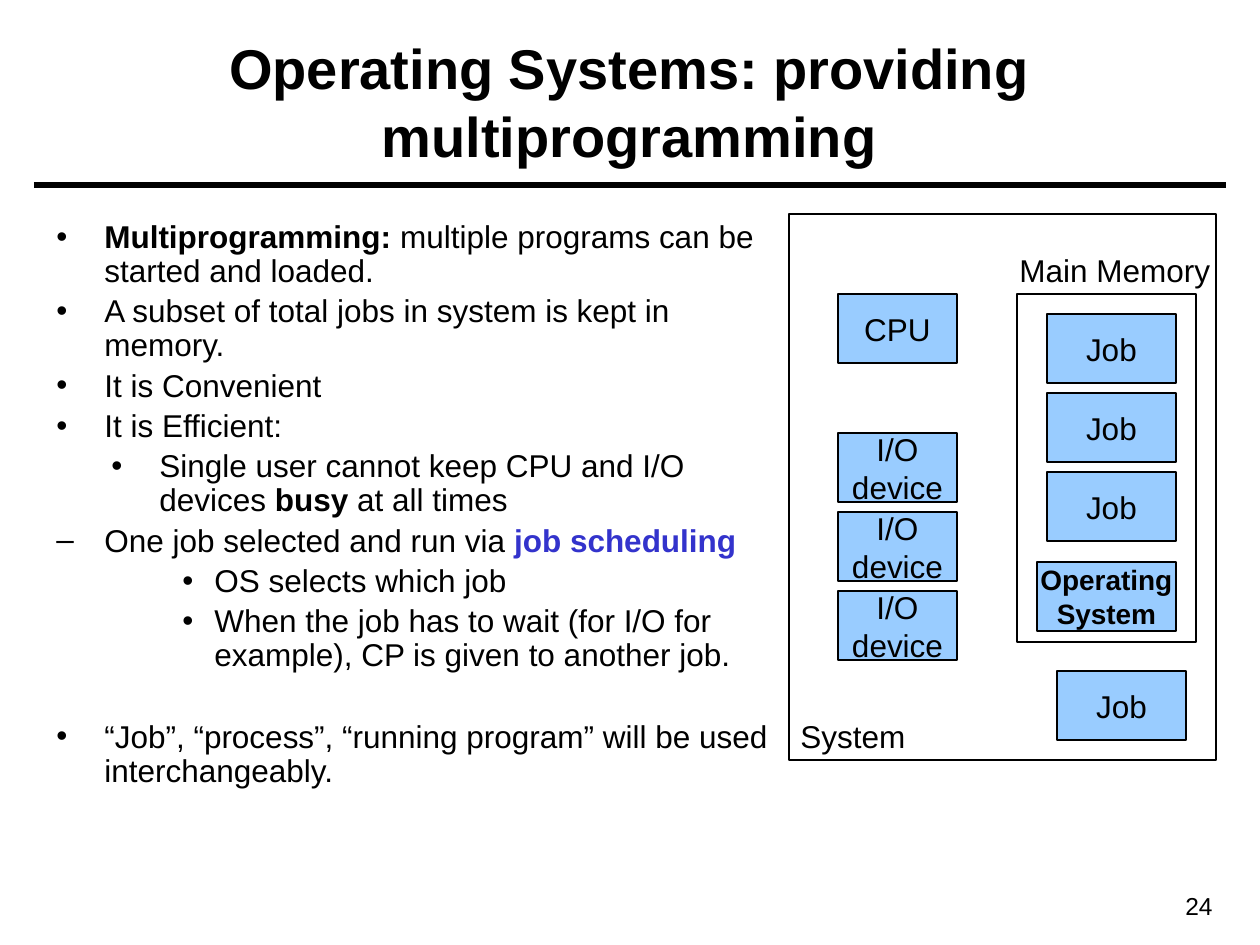
from lxml.etree import SubElement
from pptx import Presentation
from pptx.dml.color import RGBColor
from pptx.enum.shapes import MSO_CONNECTOR as Conn, MSO_SHAPE as Shape
from pptx.enum.text import MSO_ANCHOR as Anchor, MSO_AUTO_SIZE as Fit, PP_ALIGN as Align
from pptx.oxml.ns import qn
from pptx.util import Emu, Pt

BLACK = RGBColor(0x00, 0x00, 0x00)
SKY = RGBColor(0x99, 0xCC, 0xFF)
BLUE = RGBColor(0x33, 0x33, 0xCC)
FONT = "Arial"


def px(n):
    return Emu(round(n * 914400 / 126))


def write(para, text, size=18, bold=False, color=BLACK):
    """Add text to a paragraph, with a line break at each newline."""
    for i, line in enumerate(text.split("\n")):
        if i:
            para.add_line_break()
        run = para.add_run()
        run.text = line
        font = run.font
        font.name, font.size, font.bold = FONT, Pt(size), bold
        font.color.rgb = color


def mark(para, left, hang, sign):
    """Give a paragraph a hanging bullet."""
    props = para._p.get_or_add_pPr()
    props.set("marL", str(px(left)))
    props.set("indent", str(-px(hang)))
    SubElement(props, qn("a:buFont")).set("typeface", FONT)
    SubElement(props, qn("a:buChar")).set("char", sign)


class Page:
    def __init__(self, slide, thin=0.75):
        self.shapes = slide.shapes
        self.thin = thin

    def rule(self, x1, y1, x2, y2, width):
        line = self.shapes.add_connector(Conn.STRAIGHT, px(x1), px(y1), px(x2), px(y2))
        line.line.color.rgb = BLACK
        line.line.width = Pt(width)
        SubElement(line._element.spPr, qn("a:effectLst"))

    def label(self, x, y, w, h, text, align=Align.LEFT, anchor=Anchor.TOP,
              wrap=False, **style):
        """Add a text box; one that does not wrap grows with its text."""
        frame = self.shapes.add_textbox(px(x), px(y), px(w), px(h)).text_frame
        frame.word_wrap = wrap
        frame.auto_size = Fit.NONE if wrap else Fit.SHAPE_TO_FIT_TEXT
        frame.vertical_anchor = anchor
        para = frame.paragraphs[0]
        para.alignment = align
        write(para, text, **style)

    def box(self, x, y, w, h, *lines, fill=None, **style):
        """Draw an outlined box, one centred paragraph for each line."""
        box = self.shapes.add_shape(Shape.RECTANGLE, px(x), px(y), px(w), px(h))
        box.shadow.inherit = False
        box.line.color.rgb = BLACK
        box.line.width = Pt(self.thin)
        if fill is None:
            box.fill.background()
        else:
            box.fill.solid()
            box.fill.fore_color.rgb = fill
        frame = box.text_frame
        frame.word_wrap = False
        frame.vertical_anchor = Anchor.MIDDLE
        for i, line in enumerate(lines):
            para = frame.add_paragraph() if i else frame.paragraphs[0]
            para.alignment = Align.CENTER
            write(para, line, **style)

    def bullets(self, x, y, w, h, items):
        frame = self.shapes.add_textbox(px(x), px(y), px(w), px(h)).text_frame
        frame.word_wrap = True
        for i, (kind, gap, parts) in enumerate(items):
            para = frame.add_paragraph() if i else frame.paragraphs[0]
            mark(para, *kind)
            para.line_spacing = 0.9
            para.space_before = Pt(gap if i else 0)
            for text, style in parts:
                write(para, text, **style)


TOP = (48, 48, "•")
SUB = (103, 48, "•")
DASH = (48, 48, "–")
DEEP = (158, 32, "•")
GAP, BREAK = 3.6, 27
BOLD = {"bold": True}
TERM = {"bold": True, "color": BLUE}

ITEMS = [
    (TOP, GAP, [("Multiprogramming:", BOLD),
                (" multiple programs can be started and loaded.", {})]),
    (TOP, GAP, [("A subset of total jobs in system is kept in memory.", {})]),
    (TOP, GAP, [("It is Convenient", {})]),
    (TOP, GAP, [("It is Efficient:", {})]),
    (SUB, GAP, [("Single user cannot keep CPU and I/O devices ", {}),
                ("busy", BOLD), (" at all times", {})]),
    (DASH, GAP, [("One job selected and run via ", {}), ("job scheduling", TERM)]),
    (DEEP, GAP, [("OS selects which job", {})]),
    (DEEP, GAP, [("When the job has to wait (for I/O for example), "
                  "CP is given to another job.", {})]),
    (TOP, BREAK, [("“Job”, “process”, “running program” will be used "
                   "interchangeably.", {})]),
]


def main():
    deck = Presentation()
    deck.slide_width, deck.slide_height = px(1260), px(945)
    page = Page(deck.slides.add_slide(deck.slide_layouts[6]))

    page.rule(34, 185, 1226, 185, 3)
    page.label(1094, 885, 131, 43, "24", align=Align.RIGHT, wrap=True, size=14)
    page.label(44, 22, 1171, 158, "Operating Systems: providing multiprogramming",
               align=Align.CENTER, anchor=Anchor.MIDDLE, wrap=True, size=32, bold=True)
    page.bullets(44, 215, 753, 645, ITEMS)

    page.box(789, 214, 427, 546)
    page.label(788, 711, 130, 50, "System")
    page.box(1017, 294, 179, 348)
    page.label(1007, 245, 218, 50, "Main Memory")

    high, step = 69, 79
    page.box(838, 294, 119, high, "CPU", fill=SKY)
    for i in range(3):
        page.box(1047, 314 + i * step, 129, high, "Job", fill=SKY)
        page.box(838, 433 + i * step, 119, high, "I/O\ndevice", fill=SKY)
    page.box(1037, 562, 139, high, "Operating", "System", fill=SKY, size=16, bold=True)
    page.box(1057, 671, 129, high, "Job", fill=SKY)

    deck.save("out.pptx")


if __name__ == "__main__":
    main()
